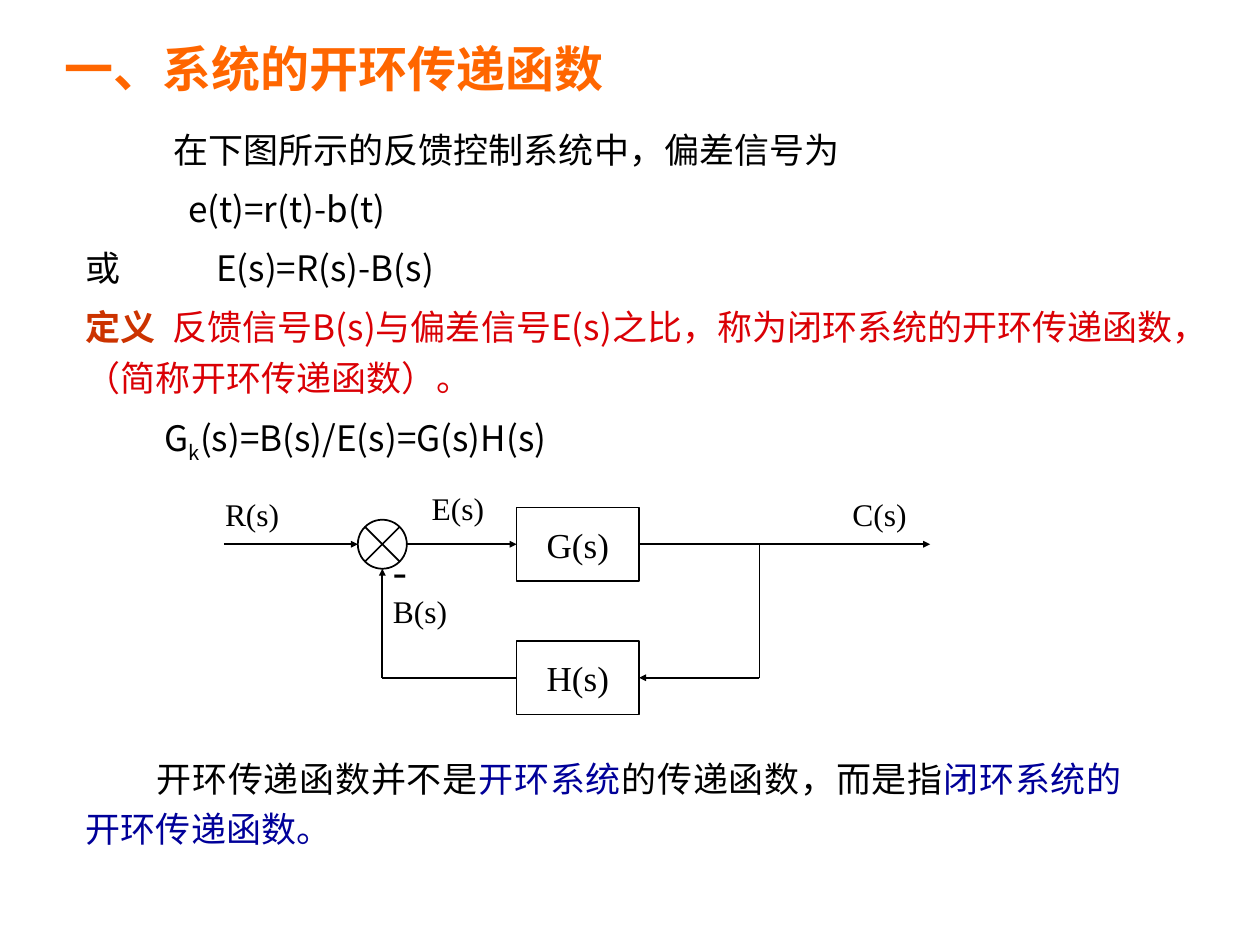
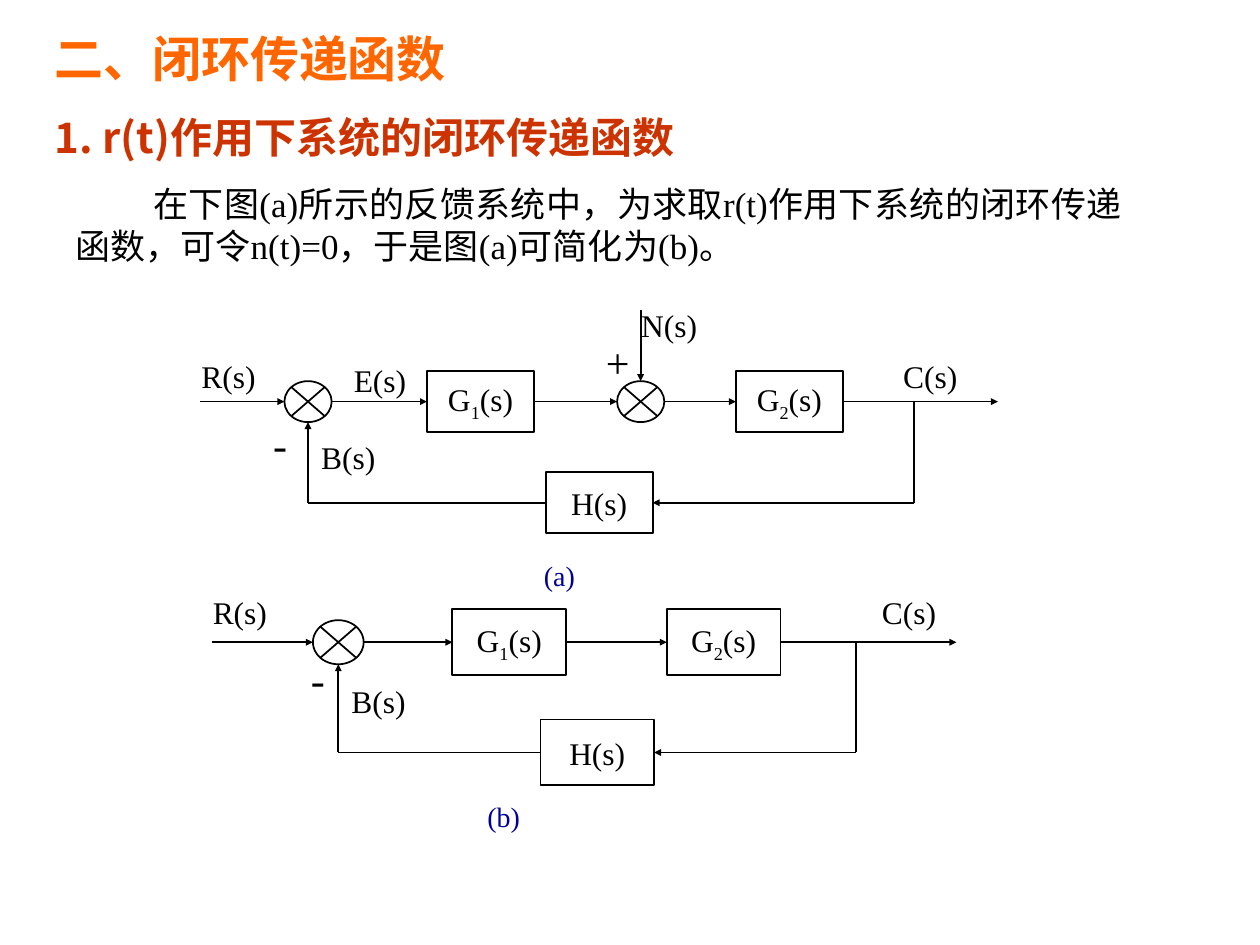
from lxml import etree
from pptx import Presentation
from pptx.dml.color import RGBColor
from pptx.enum.shapes import MSO_CONNECTOR, MSO_SHAPE
from pptx.enum.text import MSO_ANCHOR, MSO_AUTO_SIZE, PP_ALIGN
from pptx.oxml.ns import qn
from pptx.util import Pt

LINE = MSO_CONNECTOR.STRAIGHT
RECT, SUM = MSO_SHAPE.RECTANGLE, MSO_SHAPE.FLOWCHART_SUMMING_JUNCTION
MID, TOP = MSO_ANCHOR.MIDDLE, MSO_ANCHOR.TOP
LEFT, MIDDLE, JUST = PP_ALIGN.LEFT, PP_ALIGN.CENTER, PP_ALIGN.JUSTIFY
GROW = MSO_AUTO_SIZE.SHAPE_TO_FIT_TEXT

HUES = {"black": "000000", "head": "FF6600", "sub": "CC3300",
        "red": "DA0005", "blue": "000099"}
HAN, ROMAN = "Noto Sans CJK SC", "Times New Roman"
HEAD = {"name": "Arial", "size": Pt(28), "bold": True, "hue": "head"}
SUB = {"name": HAN, "size": Pt(24), "bold": True, "hue": "sub"}
BODY = {"name": HAN, "size": Pt(20), "hue": "black"}
RED, BLUE = BODY | {"hue": "red"}, BODY | {"hue": "blue"}
TERM = SUB | {"name": "Noto Sans CJK JP", "size": Pt(20)}
SERIF = BODY | {"name": ROMAN}


def write(shape, paras, align=LEFT, anchor=TOP, wrap=True, gap=1.0):
    """Fill a shape with paragraphs of (indent, tab stop, runs); a run is (text, format, lowered)."""
    frame = shape.text_frame
    frame.word_wrap, frame.vertical_anchor = wrap, anchor
    for i, (indent, tab, runs) in enumerate(paras):
        para = frame.add_paragraph() if i else frame.paragraphs[0]
        props = para._p.get_or_add_pPr()
        if indent:
            props.set("indent", str(Pt(indent)))
        if tab:
            tabs = etree.SubElement(props, qn("a:tabLst"))
            etree.SubElement(tabs, qn("a:tab"), pos=str(Pt(tab)), algn="l")
        para.alignment, para.line_spacing = align, gap
        if i:
            para.space_before = Pt(5)
        for text, form, *low in runs:
            run = para.add_run()
            run.text = text
            for key, value in form.items():
                if key == "hue":
                    run.font.color.rgb = RGBColor.from_string(HUES[value])
                else:
                    setattr(run.font, key, value)
            mark = run._r.get_or_add_rPr()
            etree.SubElement(mark, qn("a:ea"), typeface=HAN)
            if low:
                mark.set("baseline", "-25000")


def link(slide, start, end, arrow=True):
    line = slide.shapes.add_connector(LINE, *map(Pt, start + end))
    line.line.width = Pt(1)
    line.line.color.rgb = RGBColor.from_string(HUES["black"])
    props = line._element.spPr
    if arrow:
        etree.SubElement(props.get_or_add_ln(), qn("a:tailEnd"),
                         type="triangle", w="sm", len="sm")
    etree.SubElement(props, qn("a:effectLst"))


deck = Presentation()
deck.slide_width, deck.slide_height = Pt(720), Pt(540)
pages = [deck.slides.add_slide(deck.slide_layouts[6]) for _ in range(2)]

# Text: page, box, paragraphs, layout
TEXTS = [
    (0, (30, 6, 528, 66), [(0, 0, [("一、系统的开环传递函数", HEAD)])], {"anchor": MID}),
    (0, (42, 65, 648, 211), [
        (50, 0, [("在下图所示的反馈控制系统中，偏差信号为", BODY)]),
        (58.5, 0, [("e(t)=r(t)-b(t)", BODY)]),
        (0, 74.5, [("或\tE(s)=R(s)-B(s)", BODY)]),
        (0, 49.5, [("定义\t", TERM),
                   ("反馈信号B(s)与偏差信号E(s)之比，称为闭环系统的开环传递函数，"
                    "（简称开环传递函数）。", RED)]),
        (45, 0, [("G", BODY), ("k", BODY, True), ("(s)=B(s)/E(s)=G(s)H(s)", BODY)]),
    ], {"gap": 1.2}),
    (0, (42, 424.5, 606, 85.5), [
        (40.5, 0, [("开环传递函数并不是", BODY), ("开环系统", BLUE),
                   ("的传递函数，而是指", BODY), ("闭环系统的开环传递函数。", BLUE)]),
    ], {"align": JUST, "gap": 1.2}),
    (1, (24, 6, 336, 54), [(0, 0, [("二、闭环传递函数", HEAD)])], {"anchor": MID}),
    (1, (24, 60, 504, 48), [(0, 0, [("1. r(t)作用下系统的闭环传递函数", SUB)])], {}),
    (1, (36, 100.5, 612, 56), [
        (44.5, 0, [("在下图(a)所示的反馈系统中，为求取r(t)作用下系统的闭环传递函数，"
                    "可令n(t)=0，于是图(a)可简化为(b)。", SERIF)]),
    ], {"align": JUST}),
]
for page, box, paras, look in TEXTS:
    write(pages[page].shapes.add_textbox(*map(Pt, box)), paras, **look)

# Loops: "row" holds (name, left, width) along the main line, where "" is a sum
# point; "low" is the feedback block; labels are (text, left, top, width, size, hue).
LOOPS = [
    {"page": 0, "y": 311, "back": 387.3, "ends": (128, 531.5), "tap": 434,
     "row": [("", 204.5, 28), ("G", 295.2, 70)], "low": ("H", 295.2, 70),
     "tall": 42, "round": 28, "size": 20,
     "labels": [("R(s)", 121.5, 279.3, 46, 18, "black"),
                ("C(s)", 480, 279.3, 46, 18, "black"),
                ("E(s)", 239.6, 275.8, 45, 18, "black"),
                ("B(s)", 217.4, 335, 46, 18, "black"),
                ("-", 217.4, 307.5, 23, 24, "black")]},
    {"page": 1, "y": 229.5, "back": 287.3, "ends": (114.5, 570.2), "tap": 522.5,
     "row": [("", 162.5, 27), ("G1", 244, 61.2), ("", 352.6, 27), ("G2", 420.5, 61.2)],
     "low": ("H", 311.8, 61.2), "tall": 34.8, "round": 23.4, "size": 18,
     "labels": [("-", 149, 235.5, 23, 24, "black"),
                ("+", 339.1, 188.6, 29, 24, "black"),
                ("R(s)", 108, 200.2, 46, 18, "black"),
                ("E(s)", 195.1, 203, 45, 18, "black"),
                ("B(s)", 176.4, 247, 46, 18, "black"),
                ("N(s)", 359.3, 171.4, 47, 18, "black"),
                ("C(s)", 509, 200.2, 46, 18, "black"),
                ("(a)", 303.8, 315.4, 33, 16, "blue")]},
    {"page": 1, "y": 367, "back": 430, "ends": (121, 546.5), "tap": 489,
     "row": [("", 178.8, 29), ("G1", 258.5, 65), ("G2", 381, 65)],
     "low": ("H", 308.8, 65), "tall": 37.6, "round": 25.2, "size": 18,
     "labels": [("R(s)", 114.5, 335.5, 46, 18, "black"),
                ("B(s)", 193.7, 386, 46, 18, "black"),
                ("C(s)", 496.8, 335.5, 46, 18, "black"),
                ("-", 170.6, 370, 23, 24, "black"),
                ("(b)", 271.4, 453.6, 34, 16, "blue")]},
]
for loop in LOOPS:
    slide, y, back, tap = pages[loop["page"]], loop["y"], loop["back"], loop["tap"]
    form = SERIF | {"size": Pt(loop["size"])}
    nodes = [(*node, y) for node in loop["row"]] + [(*loop["low"], back)]
    for name, left, width, mid in nodes:
        tall = loop["tall"] if name else loop["round"]
        node = slide.shapes.add_shape(RECT if name else SUM, Pt(left),
                                      Pt(mid - tall / 2), Pt(width), Pt(tall))
        node.shadow.inherit = False
        node.fill.background()
        node.line.width = Pt(1)
        node.line.color.rgb = RGBColor.from_string(HUES["black"])
        if name:
            runs = [(name[0], form), (name[1:], form, True), ("(s)", form)]
            write(node, [(0, 0, [run for run in runs if run[0]])], MIDDLE, MID, False)

    x, end = loop["ends"]
    for name, left, width in loop["row"]:
        link(slide, (x, y), (left, y))
        x = left + width
    link(slide, (x, y), (end, y))

    name, left, width = loop["row"][0]
    sum_x = left + width / 2
    name, left, width = loop["low"]
    link(slide, (tap, y), (tap, back), False)
    link(slide, (tap, back), (left + width, back))
    link(slide, (left, back), (sum_x, back), False)
    link(slide, (sum_x, back), (sum_x, y + loop["round"] / 2))

    for text, left, top, width, size, hue in loop["labels"]:
        label = slide.shapes.add_textbox(Pt(left), Pt(top), Pt(width), Pt(size * 1.2 + 7.2))
        write(label, [(0, 0, [(text, SERIF | {"size": Pt(size), "hue": hue})])], wrap=False)
        label.text_frame.auto_size = GROW

# Disturbance input N(s)
link(pages[1], (366.1, 177), (366.1, 217.8))

deck.save("out.pptx")
